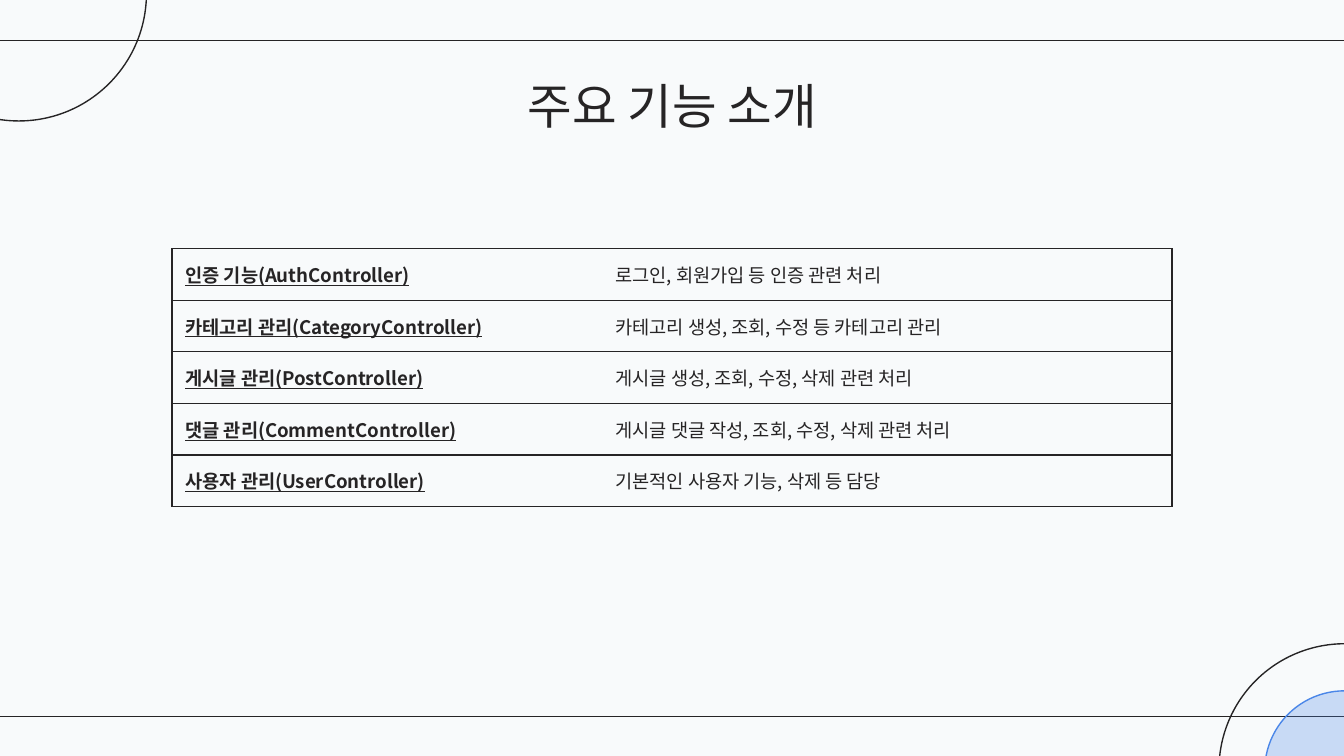
"""Build the slide that introduces the main features of the service."""
from dataclasses import dataclass
from typing import Optional

import lxml.etree
import pptx
import pptx.dml.color
import pptx.enum.shapes
import pptx.enum.text
import pptx.oxml.ns
import pptx.util

Inches = pptx.util.Inches
Pt = pptx.util.Pt
qn = pptx.oxml.ns.qn

COLORS = {"ink": "262425", "paper": "F8FAFB", "blue": "4A86E8"}
FONT = "Noto Sans CJK KR"
LINE_WIDTH = Pt(0.75)
TABLE_HEIGHT = 1.92
COLUMN_WIDTHS = (3.2, 4.24)


@dataclass
class Circle:
    left: float
    top: float
    size: float
    line: str = "ink"
    fill: Optional[str] = None
    alpha: int = 100


@dataclass
class Feature:
    name: str
    description: str


RULE_HEIGHTS = (0.3, 5.33)
CIRCLES = (
    Circle(-0.81, -1, 1.9),
    Circle(9.07, 4.79, 1.87),
    Circle(9.41, 5.14, 1.19, "blue", "blue", 27),
)
FEATURES = (
    Feature("인증 기능(AuthController)", "로그인, 회원가입 등 인증 관련 처리"),
    Feature("카테고리 관리(CategoryController)", "카테고리 생성, 조회, 수정 등 카테고리 관리"),
    Feature("게시글 관리(PostController)", "게시글 생성, 조회, 수정, 삭제 관련 처리"),
    Feature("댓글 관리(CommentController)", "게시글 댓글 작성, 조회, 수정, 삭제 관련 처리"),
    Feature("사용자 관리(UserController)", "기본적인 사용자 기능, 삭제 등 담당"),
)


def rgb(name: str) -> pptx.dml.color.RGBColor:
    return pptx.dml.color.RGBColor.from_string(COLORS[name])


def write(p, text: str, size: float, emphasis: bool = False) -> None:
    r = p.add_run()
    r.text = text
    font = p.font
    font.name, font.size = FONT, Pt(size)
    font.bold = font.underline = emphasis
    font.color.rgb = rgb("ink")
    run_properties = r.font._element
    run_properties.set("kern", "0")
    lxml.etree.SubElement(run_properties, qn("a:ea"), typeface=FONT)


def draw_rule(s, y: float) -> None:
    line = s.shapes.add_connector(
        pptx.enum.shapes.MSO_CONNECTOR.STRAIGHT,
        Inches(10.02), Inches(y), Inches(-0.02), Inches(y))
    line.line.color.rgb = rgb("ink")
    line.line.width = LINE_WIDTH
    lxml.etree.SubElement(line._element.spPr, qn("a:effectLst"))


def draw_circle(s, circle: Circle) -> None:
    sp = s.shapes.add_shape(
        pptx.enum.shapes.MSO_SHAPE.OVAL, Inches(circle.left), Inches(circle.top),
        Inches(circle.size), Inches(circle.size))
    sp.shadow.inherit = False
    sp.line.color.rgb = rgb(circle.line)
    sp.line.width = LINE_WIDTH
    if circle.fill is None:
        sp.fill.background()
        return
    sp.fill.solid()
    sp.fill.fore_color.rgb = rgb(circle.fill)
    color = sp._element.spPr.find(qn("a:solidFill"))[0]
    lxml.etree.SubElement(color, qn("a:alpha"), val=str(circle.alpha * 1000))


def set_borders(cell, visible: str) -> None:
    tc_pr = cell._tc.get_or_add_tcPr()
    for side in "LRTB":
        line = lxml.etree.SubElement(tc_pr, qn(f"a:ln{side}"), w=str(LINE_WIDTH))
        if side in visible:
            fill = lxml.etree.SubElement(line, qn("a:solidFill"))
            lxml.etree.SubElement(fill, qn("a:srgbClr"), val=COLORS["ink"])
        else:
            lxml.etree.SubElement(line, qn("a:noFill"))


def fill_cell(cell, text: str, borders: str, emphasis: bool) -> None:
    set_borders(cell, borders)
    cell.fill.background()
    cell.margin_left = cell.margin_right = Inches(0.1)
    cell.margin_top = cell.margin_bottom = 0
    cell.vertical_anchor = pptx.enum.text.MSO_ANCHOR.MIDDLE
    write(cell.text_frame.paragraphs[0], text, 10, emphasis)


def draw_features(s) -> None:
    table = s.shapes.add_table(
        len(FEATURES), len(COLUMN_WIDTHS), Inches(1.28), Inches(1.85),
        Inches(sum(COLUMN_WIDTHS)), Inches(TABLE_HEIGHT)).table
    table.first_row = table.horz_banding = False
    for column, width in zip(table.columns, COLUMN_WIDTHS):
        column.width = Inches(width)
    for row, feature in zip(table.rows, FEATURES):
        row.height = Inches(TABLE_HEIGHT / len(FEATURES))
        fill_cell(row.cells[0], feature.name, "LTB", True)
        fill_cell(row.cells[1], feature.description, "RTB", False)


def draw_title(s, text: str) -> None:
    tf = s.shapes.add_textbox(
        Inches(0.79), Inches(0.45), Inches(8.43), Inches(0.67)).text_frame
    tf.word_wrap = True
    tf.vertical_anchor = pptx.enum.text.MSO_ANCHOR.MIDDLE
    tf.margin_left = tf.margin_right = tf.margin_top = tf.margin_bottom = Inches(0.1)
    p = tf.paragraphs[0]
    p.alignment = pptx.enum.text.PP_ALIGN.CENTER
    write(p, text, 26)


def main() -> None:
    prs = pptx.Presentation()
    prs.slide_width, prs.slide_height = Inches(10), Inches(10 * 9 / 16)
    s = prs.slides.add_slide(prs.slide_layouts[6])
    s.background.fill.solid()
    s.background.fill.fore_color.rgb = rgb("paper")
    for y in RULE_HEIGHTS:
        draw_rule(s, y)
    for circle in CIRCLES:
        draw_circle(s, circle)
    draw_features(s)
    draw_title(s, "주요 기능 소개")
    prs.save("out.pptx")


if __name__ == "__main__":
    main()
